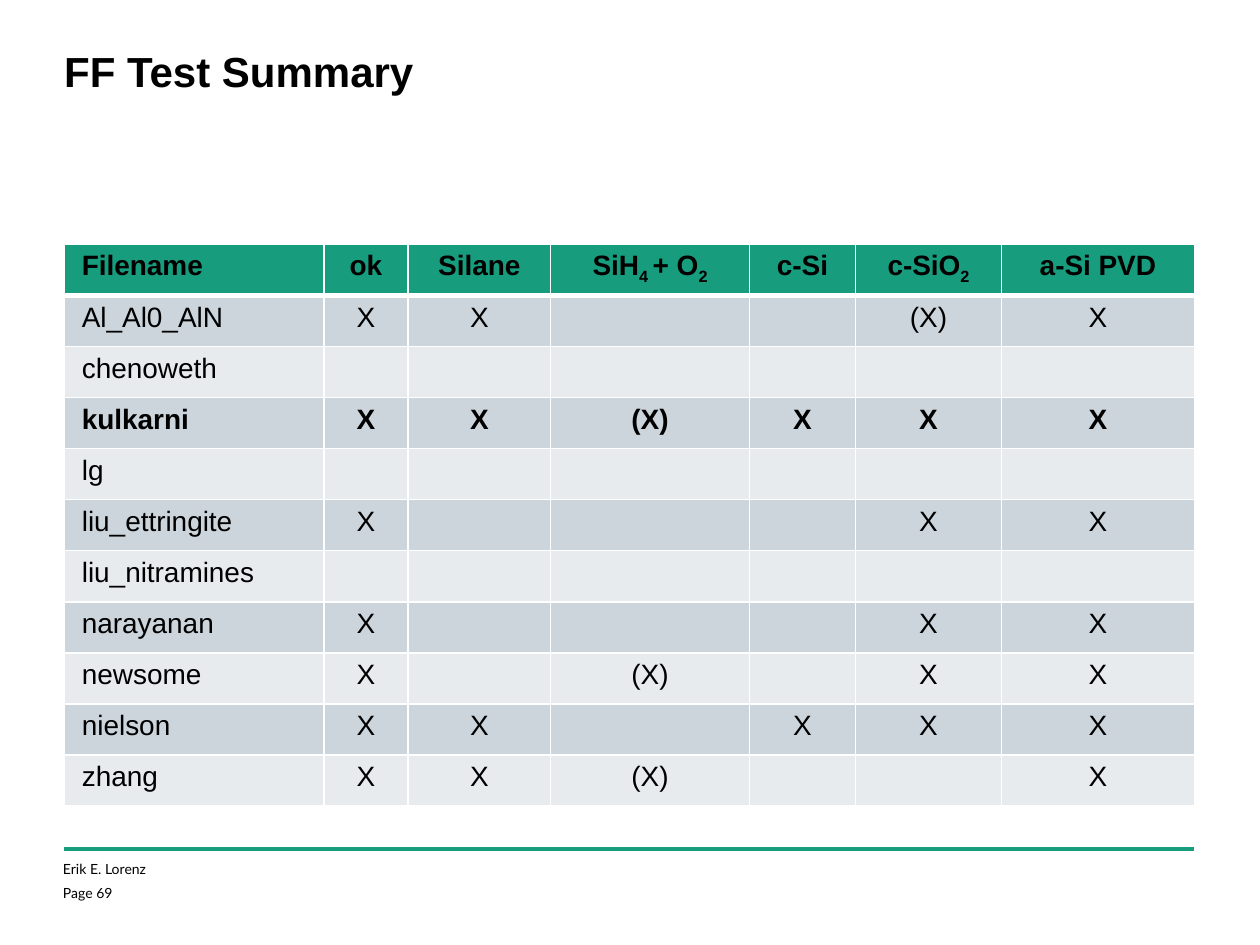
from pptx import Presentation
from pptx.dml.color import RGBColor as RGB
from pptx.enum.shapes import MSO_CONNECTOR as Conn
from pptx.enum.text import PP_ALIGN as Align
from pptx.oxml import parse_xml
from pptx.oxml.ns import nsdecls
from pptx.util import Inches, Pt

HUES = {"ink": "000000", "green": "179C7D", "rule": "FFFFFF", "odd": "CCD5DC", "even": "E7EBEE"}
HEADS = ["Filename", "ok", "Silane", "SiH~4 ~+ O~2", "c-Si", "c-SiO~2", "a-Si PVD"]
WIDTHS = [2.06, 0.67, 1.13, 1.58, 0.84, 1.16, 1.53]
TESTS = [
    ["Al_Al0_AlN", "X", "X", "", "", "(X)", "X"],
    ["chenoweth", "", "", "", "", "", ""],
    ["kulkarni", "X", "X", "(X)", "X", "X", "X"],
    ["lg", "", "", "", "", "", ""],
    ["liu_ettringite", "X", "", "", "", "X", "X"],
    ["liu_nitramines", "", "", "", "", "", ""],
    ["narayanan", "X", "", "", "", "X", "X"],
    ["newsome", "X", "", "(X)", "", "X", "X"],
    ["nielson", "X", "X", "", "X", "X", "X"],
    ["zhang", "X", "X", "(X)", "", "", "X"],
]


def write(para, text, size=16, font="Arial", bold=False, align=Align.LEFT, before=0):
    """Fill a paragraph, with subscripts between tildes."""
    para.alignment = align
    para.font.size = Pt(size)
    if before:
        para.space_before = Pt(before)
    for num, part in enumerate(text.split("~") if text else []):
        run = para.add_run()
        run.text = part
        run.font.size, run.font.name, run.font.bold = Pt(size), font, bold
        run.font.color.rgb = RGB.from_string(HUES["ink"])
        if num % 2:
            run.font._element.set("baseline", "-25000")


class Deck:
    """Hold the style and the current slide."""

    def __init__(self):
        """Start a deck with one blank slide."""
        self.prs = Presentation()
        self.prs.slide_width, self.prs.slide_height = Inches(10), Inches(7.5)
        self.slide = self.prs.slides.add_slide(self.prs.slide_layouts[6])
        self.shapes = self.slide.shapes

    def text(self, box, lines, before=0, **style):
        """Add a text box without margins."""
        frame = self.shapes.add_textbox(*map(Inches, box)).text_frame
        frame.word_wrap = True
        frame.margin_left = frame.margin_right = frame.margin_top = frame.margin_bottom = 0
        for num, line in enumerate(lines):
            para = frame.add_paragraph() if num else frame.paragraphs[0]
            write(para, line, before=before if num else 0, **style)

    def line(self, left, right, top, hue, width):
        """Add a level line."""
        line = self.shapes.add_connector(Conn.STRAIGHT, *map(Inches, (left, top, right, top)))
        line.line.color.rgb, line.line.width = RGB.from_string(HUES[hue]), Pt(width)
        line._element.spPr.append(parse_xml(f"<a:effectLst {nsdecls('a')}/>"))

    def cell(self, cell, text, hue, sides, **style):
        """Style one table cell, with border widths by side."""
        cell.margin_left = cell.margin_right = Inches(0.14)
        cell.margin_top = cell.margin_bottom = Inches(0.05)
        write(cell.text_frame.paragraphs[0], text, **style)
        props = cell._tc.get_or_add_tcPr()
        for side, width in sides.items():
            props.append(parse_xml(
                f'<a:ln{side} {nsdecls("a")} w="{Pt(width)}"><a:solidFill>'
                f'<a:srgbClr val="{HUES["rule"]}"/></a:solidFill></a:ln{side}>'))
        cell.fill.solid()
        cell.fill.fore_color.rgb = RGB.from_string(HUES[hue])

    def table(self, box, rows, widths, strong):
        """Add a banded table with a head row and bold rows."""
        grid = self.shapes.add_table(len(rows), len(widths), *map(Inches, box)).table
        for col, width in zip(grid.columns, widths):
            col.width = Inches(width)
        for r, row in enumerate(rows):
            hue = "green" if r == 0 else "odd" if r % 2 else "even"
            sides = {"L": 1, "R": 1, "T": 3 if r == 1 else 1, "B": 1 if r else 3}
            for c, text in enumerate(row):
                self.cell(grid.cell(r, c), text, hue, sides, bold=r in strong,
                          align=Align.CENTER if c else Align.LEFT)


def main():
    """Build the test summary slide."""
    deck = Deck()
    deck.line(0.51, 9.48, 6.74, "green", 2.5)
    deck.text((0.5, 6.83, 3.17, 0.34), ["Erik E. Lorenz", "Page 69"], before=4, size=8, font="Lato")
    deck.text((0.51, 0.36, 8.97, 1.34), ["FF Test Summary"], size=24, bold=True)
    deck.table((0.51, 1.94, 8.97, 4.46), [HEADS] + TESTS, WIDTHS, strong=(0, 3))
    deck.prs.save("out.pptx")


if __name__ == "__main__":
    main()
